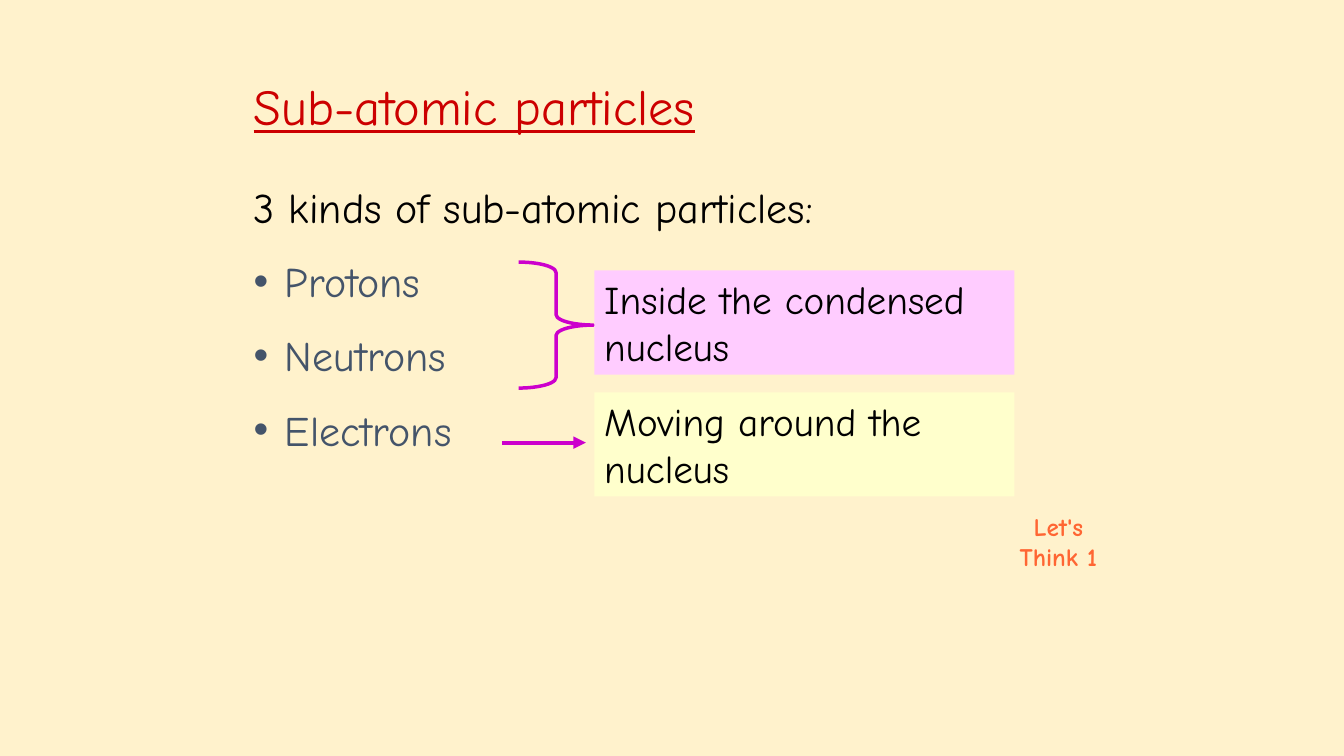
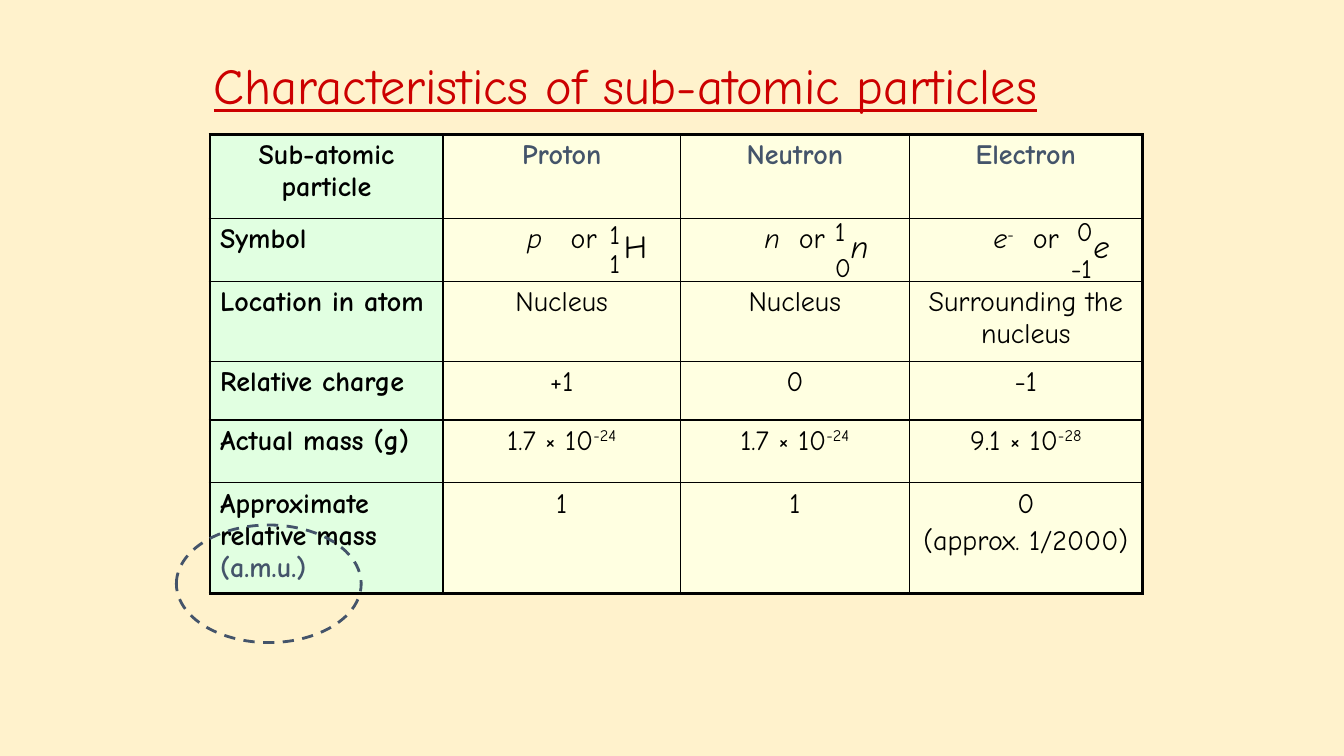
from lxml.etree import SubElement
from pptx import Presentation
from pptx.dml.color import RGBColor
from pptx.enum.dml import MSO_LINE
from pptx.enum.shapes import MSO_CONNECTOR, MSO_SHAPE
from pptx.enum.text import MSO_ANCHOR, MSO_AUTO_SIZE, PP_ALIGN
from pptx.oxml.ns import qn
from pptx.util import Inches, Pt

FONT = "Comic Neue"
CREAM, RED, SLATE, BLACK = "FFF2CC", "CC0000", "44546A", "000000"
PURPLE, PINK, YELLOW, ORANGE = "CC00CC", "FFCCFF", "FFFFCC", "FF6633"
MINT, IVORY = "E1FFE1", "FFFFE1"
COLUMNS, ROWS = 160, 90


def rgb(value):
    return RGBColor.from_string(value)


def write(p, text, size=20, color=BLACK, bold=False, italic=False,
          underline=False, raised=False):
    r = p.add_run()
    r.text = text
    font = r.font
    font.name, font.size = FONT, Pt(size)
    font.bold, font.italic, font.underline = bold, italic, underline
    font.color.rgb = rgb(color)
    if raised:
        r._r.get_or_add_rPr().set("baseline", "30000")
    return r


class Deck:
    def __init__(self):
        self.prs = Presentation()
        self.prs.slide_width, self.prs.slide_height = Inches(13.33), Inches(7.5)
        fill = self.prs.slide_master.background.fill
        fill.solid()
        fill.fore_color.rgb = rgb(CREAM)

    def col(self, n):
        return round(self.prs.slide_width * n / COLUMNS)

    def row(self, n):
        return round(self.prs.slide_height * n / ROWS)

    def box(self, x, y, w, h):
        return self.col(x), self.row(y), self.col(w), self.row(h)

    def place(self, sp, *at):
        sp.left, sp.top, sp.width, sp.height = self.box(*at)
        sp.text_frame.auto_size = MSO_AUTO_SIZE.NONE
        return sp.text_frame

    def slide(self, layout, title, *at):
        self.s = self.prs.slides.add_slide(self.prs.slide_layouts.get_by_name(layout))
        tf = self.place(self.s.shapes.title, *at)
        tf.vertical_anchor = MSO_ANCHOR.MIDDLE
        p = tf.paragraphs[0]
        p.alignment = PP_ALIGN.LEFT
        write(p, title, size=36, color=RED, underline=True)

    def bullets(self, lead, items, *at):
        tf = self.place(self.s.placeholders[1], *at)
        for i, text in enumerate([lead] + items):
            p = tf.add_paragraph() if i else tf.paragraphs[0]
            p.space_before = Pt(17 if i else 0)
            pPr = p._p.get_or_add_pPr()
            pPr.set("marL", str(Inches(0.31)))
            pPr.set("indent", str(-Inches(0.31)))
            if not i:
                SubElement(pPr, qn("a:buNone"))
            write(p, text, size=30, color=SLATE if i else BLACK)

    def text(self, text, *at, align=PP_ALIGN.LEFT, wrap=True, **fmt):
        tf = self.s.shapes.add_textbox(*self.box(*at)).text_frame
        tf.word_wrap = wrap
        tf.paragraphs[0].alignment = align
        write(tf.paragraphs[0], text, **fmt)

    def shape(self, kind, *at, fill=None, line=None, width=2):
        sp = self.s.shapes.add_shape(kind, *self.box(*at))
        sp.shadow.inherit = False
        if fill:
            sp.fill.solid()
            sp.fill.fore_color.rgb = rgb(fill)
        else:
            sp.fill.background()
        if line:
            sp.line.color.rgb = rgb(line)
            sp.line.width = Pt(width)
        else:
            sp.line.fill.background()
        return sp

    def panel(self, text, *at, fill):
        tf = self.shape(MSO_SHAPE.RECTANGLE, *at, fill=fill).text_frame
        tf.word_wrap = True
        tf.vertical_anchor = MSO_ANCHOR.TOP
        tf.paragraphs[0].alignment = PP_ALIGN.LEFT
        write(tf.paragraphs[0], text, size=28)

    def arrow(self, x1, y1, x2, y2, color, width):
        c = self.s.shapes.add_connector(
            MSO_CONNECTOR.STRAIGHT, self.col(x1), self.row(y1), self.col(x2), self.row(y2))
        c.line.color.rgb = rgb(color)
        c.line.width = Pt(width)
        SubElement(c.line._get_or_add_ln(), qn("a:tailEnd"), type="triangle")
        SubElement(c._element.spPr, qn("a:effectLst"))

    def border(self, cell, **widths):
        tcPr = cell._tc.get_or_add_tcPr()
        for i, side in enumerate("LRTB"):
            ln = SubElement(tcPr, qn("a:ln" + side), w=str(Pt(widths[side])))
            SubElement(SubElement(ln, qn("a:solidFill")), qn("a:srgbClr"), val=BLACK)
            tcPr.insert(i, ln)

    def fill_cell(self, cell, paragraphs, centred, **fmt):
        for i, runs in enumerate(paragraphs):
            tf = cell.text_frame
            p = tf.add_paragraph() if i else tf.paragraphs[0]
            p.alignment = PP_ALIGN.CENTER if centred else PP_ALIGN.LEFT
            if i:
                p.space_before = Pt(4)
            for text, own in runs:
                write(p, text, **{**fmt, **own})

    def table(self, data, x, y, widths, heights):
        at = self.box(x, y, sum(widths), sum(heights))
        table = self.s.shapes.add_table(len(heights), len(widths), *at).table
        table.first_row = table.horz_banding = False
        for column, w in zip(table.columns, widths):
            column.width = self.col(w)
        for line, h in zip(table.rows, heights):
            line.height = self.row(h)
        last_row, last_col = len(heights) - 1, len(widths) - 1
        for i, line in enumerate(data):
            for j, paragraphs in enumerate(line):
                cell = table.cell(i, j)
                cell.fill.solid()
                cell.fill.fore_color.rgb = rgb(IVORY if j else MINT)
                self.border(cell, L=1 if j else 2.25, T=1 if i else 2.25,
                            R=2.25 if j == last_col else 1,
                            B=2.25 if i == last_row else 1)
                self.fill_cell(cell, paragraphs, centred=not i or j,
                               bold=not i or not j,
                               color=SLATE if j and not i else BLACK)
        return table

    def tabbed(self, cell, inset, stop):
        cell.margin_left = self.col(inset)
        p = cell.text_frame.paragraphs[0]
        p.alignment = PP_ALIGN.LEFT
        tabs = SubElement(p._p.get_or_add_pPr(), qn("a:tabLst"))
        SubElement(tabs, qn("a:tab"), pos=str(self.col(stop)), algn="l")

    def nuclide(self, symbol, mass, charge):
        text, *at = symbol
        self.text(text, *at, 10, 5.75, size=23, italic=text.islower())
        for text, *at in (mass, charge):
            self.text(text, *at, 2 + 2 * len(text), 5, size=19)


def plain(*lines):
    return [[(text, {})] for text in lines]


def power(base, exponent):
    return [[(base, {}), (exponent, {"raised": True})]]


def symbol(letter, *sign):
    return [[(letter, {"italic": True}),
             *((mark, {"raised": True}) for mark in sign), ("\tor", {})]]


def particles_slide(deck):
    deck.slide("Title and Content", "Sub-atomic particles", 29, 8, 69.6, 9)
    deck.bullets("3 kinds of sub-atomic particles:",
                 ["Protons", "Neutrons", "Electrons"], 29, 21, 96, 34.2)
    brace = deck.shape(MSO_SHAPE.RIGHT_BRACE, 61.75, 31.2, 8.9, 15,
                       line=PURPLE, width=2.5)
    brace.adjustments[0] = 0.14
    deck.panel("Inside the condensed nucleus", 70.75, 32.2, 50, 12.4, fill=PINK)
    deck.arrow(59.75, 52.7, 69.75, 52.7, PURPLE, 3)
    deck.panel("Moving around the nucleus", 70.75, 46.7, 50, 12.4, fill=YELLOW)
    deck.text("Let's Think 1", 118, 60.25, 16, 9.4, align=PP_ALIGN.CENTER,
              wrap=False, size=18, color=ORANGE, bold=True)


def characteristics_slide(deck):
    deck.slide("Title Only", "Characteristics of sub-atomic particles",
               24.25, 5.5, 112.8, 9)
    mass_label = [[("Approximate relative mass ", {}), ("(a.m.u.)", {"color": SLATE})]]
    data = [
        [plain(name) for name in ("Sub-atomic particle", "Proton", "Neutron", "Electron")],
        [plain("Symbol"), symbol("p"), symbol("n"), symbol("e", "-")],
        [plain(place) for place in
         ("Location in atom", "Nucleus", "Nucleus", "Surrounding the nucleus")],
        [plain(charge) for charge in ("Relative charge", "+1", "0", "-1")],
        [plain("Actual mass (g)"), power("1.7 × 10", "-24"),
         power("1.7 × 10", "-24"), power("9.1 × 10", "-28")],
        [mass_label, plain("1"), plain("1"), plain("0", "(approx. 1/2000)")],
    ]
    table = deck.table(data, 25, 16, [27.75, 28.25, 27.25, 27.75],
                       [10, 7.5, 9.5, 7, 7.5, 13.2])
    for j, stop in enumerate((5.2, 4.1, 4.7), 1):
        deck.tabbed(table.cell(1, j), 10, stop)
    deck.nuclide(("H", 73.1, 26.4), ("1", 71.4, 25.3), ("1", 71.4, 28.8))
    deck.nuclide(("n", 100.1, 26.3), ("1", 98.2, 25), ("0", 98.2, 29.3))
    deck.nuclide(("e", 129, 26.3), ("0", 127, 25), ("-1", 126.3, 29.4))
    ring = deck.shape(MSO_SHAPE.OVAL, 21, 62.5, 22, 14, line=SLATE)
    ring.line.dash_style = MSO_LINE.DASH


def main():
    deck = Deck()
    particles_slide(deck)
    characteristics_slide(deck)
    deck.prs.save("out.pptx")


if __name__ == "__main__":
    main()
